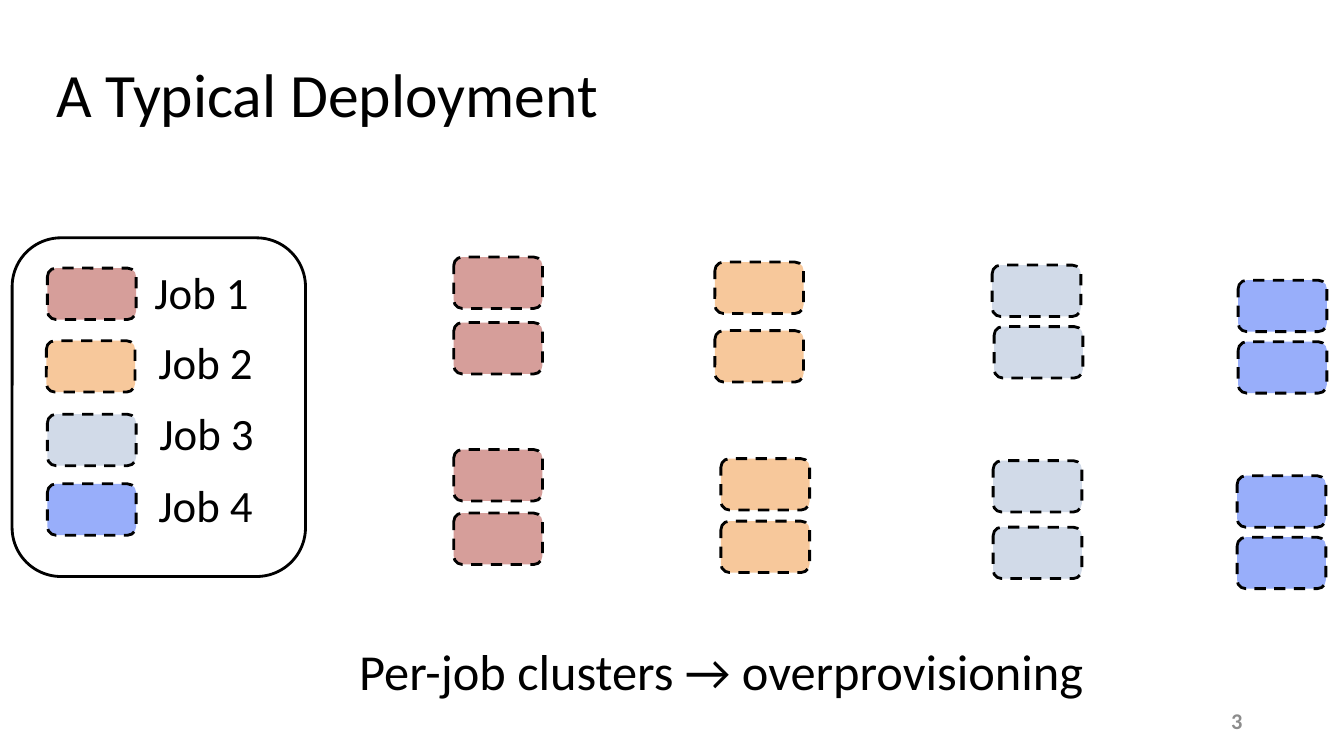
import pptx
import pptx.util
import pptx.dml.color
import pptx.enum.dml
import pptx.enum.shapes
import pptx.enum.text
from dataclasses import dataclass

Inches = pptx.util.Inches
Align = pptx.enum.text.PP_ALIGN


@dataclass(frozen=True)
class Theme:
    font: str = "Calibri"
    ink: str = "000000"
    muted: str = "8C8C8C"
    jobs: tuple = ("D69E9A", "F7C89B", "D1DAE8", "98AEFA")
    title_size: int = 44
    message_size: int = 36
    label_size: int = 32
    number_size: int = 16
    line_width: int = 2


theme = Theme()
TASK_WIDTH, TASK_HEIGHT = 0.88, 0.51


def add_box(shapes, left, top, width=TASK_WIDTH, height=TASK_HEIGHT, fill=None):
    """Rounded box: filled and dashed for a task, open and solid for a frame."""
    shape = shapes.add_shape(
        pptx.enum.shapes.MSO_SHAPE.ROUNDED_RECTANGLE,
        Inches(left), Inches(top), Inches(width), Inches(height))
    shape.shadow.inherit = False
    shape.line.color.rgb = pptx.dml.color.RGBColor.from_string(theme.ink)
    shape.line.width = pptx.util.Pt(theme.line_width)
    if fill:
        shape.fill.solid()
        shape.fill.fore_color.rgb = pptx.dml.color.RGBColor.from_string(fill)
        shape.line.dash_style = pptx.enum.dml.MSO_LINE.DASH
    else:
        shape.fill.background()


def add_text(shapes, text, left, top, width, height, size,
             align=Align.CENTER, color=theme.ink):
    """Vertically centred one-line text box; returns its paragraph."""
    shape = shapes.add_textbox(Inches(left), Inches(top), Inches(width), Inches(height))
    frame = shape.text_frame
    frame.word_wrap = True
    frame.vertical_anchor = pptx.enum.text.MSO_ANCHOR.MIDDLE
    paragraph = frame.paragraphs[0]
    paragraph.text = text
    paragraph.alignment = align
    paragraph.font.name = theme.font
    paragraph.font.size = pptx.util.Pt(size)
    paragraph.font.color.rgb = pptx.dml.color.RGBColor.from_string(color)
    return paragraph


presentation = pptx.Presentation()
presentation.slide_width = Inches(13.33)
presentation.slide_height = Inches(7.5)
slide = presentation.slides.add_slide(presentation.slide_layouts[6])

# Title and slide number
title = add_text(slide.shapes, "A Typical Deployment", 0.46, 0.24, 11.5, 1.45,
                 theme.title_size, Align.LEFT)
title.line_spacing = 0.9
number = add_text(slide.shapes, "3", 9.42, 6.95, 3, 0.4,
                  theme.number_size, Align.RIGHT, theme.muted)
number.font.bold = True

# Legend: (swatch left, swatch top, label left, label top) for each job
legend_rows = [
    (0.47, 2.66, 1.38, 2.5),
    (0.46, 3.38, 1.42, 3.19),
    (0.47, 4.11, 1.43, 3.9),
    (0.47, 4.8, 1.42, 4.61),
]
legend = slide.shapes.add_group_shape()
add_box(legend.shapes, 0.12, 2.36, 2.91, 3.36)
for job, (swatch_left, swatch_top, label_left, label_top) in enumerate(legend_rows):
    add_box(legend.shapes, swatch_left, swatch_top, fill=theme.jobs[job])
    add_text(legend.shapes, f"Job {job + 1}", label_left, label_top, 1.24, 0.79,
             theme.label_size)

# Clusters: (left, top) of the four tasks of each job
clusters = [
    [(4.5, 2.55), (4.5, 3.2), (4.5, 4.46), (4.5, 5.09)],
    [(7.09, 2.6), (7.09, 3.28), (7.15, 4.55), (7.15, 5.17)],
    [(9.84, 2.63), (9.86, 3.24), (9.85, 4.57), (9.85, 5.23)],
    [(12.28, 2.78), (12.28, 3.39), (12.27, 4.72), (12.27, 5.33)],
]
cluster_group = slide.shapes.add_group_shape()
for color, tasks in zip(theme.jobs, clusters):
    for left, top in tasks:
        add_box(cluster_group.shapes, left, top, fill=color)

# Message
add_text(slide.shapes, "Per-job clusters → overprovisioning", 3.14, 6.25, 8.03, 0.79,
         theme.message_size)

presentation.save("out.pptx")
